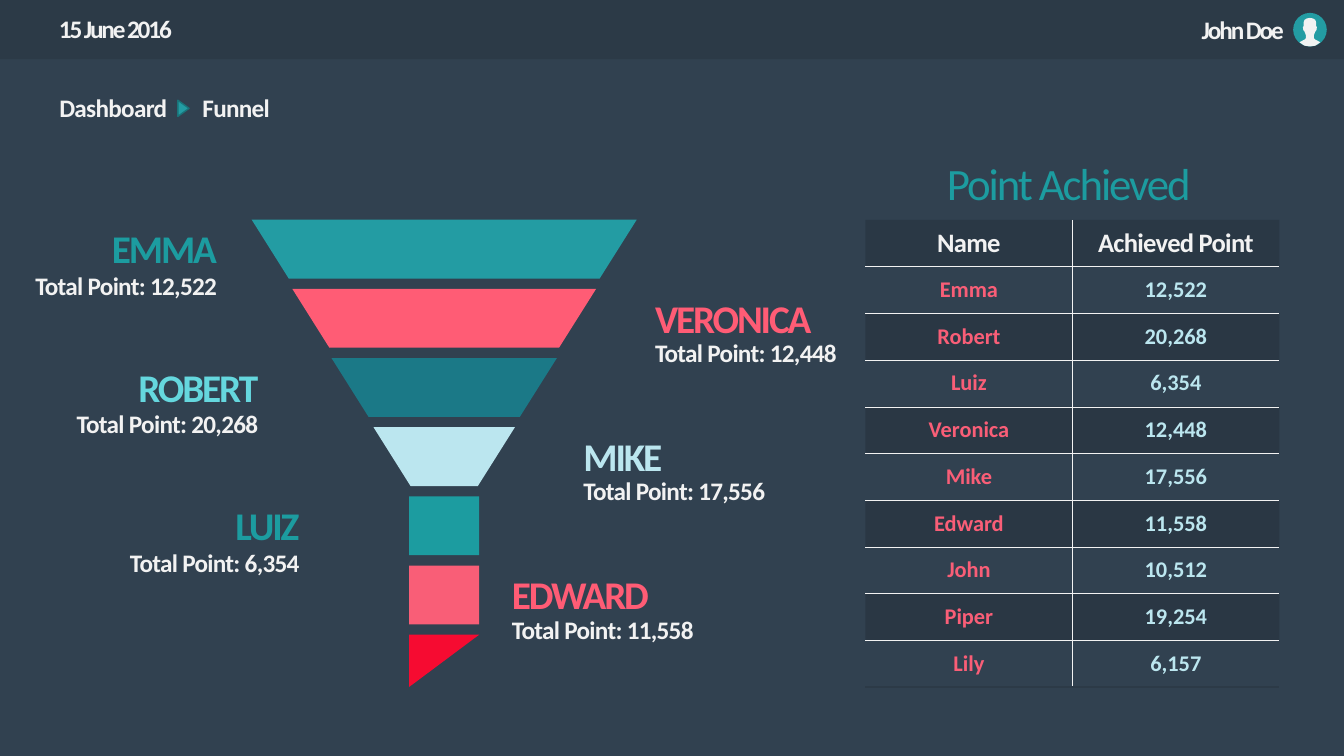
from pptx import Presentation
from pptx.dml.color import RGBColor
from pptx.enum.shapes import MSO_SHAPE
from pptx.enum.text import MSO_ANCHOR, MSO_AUTO_SIZE, PP_ALIGN
from pptx.oxml import parse_xml
from pptx.oxml.ns import nsdecls, qn
from pptx.util import Pt

SLATE = RGBColor(0x31, 0x41, 0x50)
BAR = RGBColor(0x2C, 0x3A, 0x47)
NIGHT = RGBColor(0x21, 0x2B, 0x35)
WHITE = RGBColor(0xF2, 0xF2, 0xF2)
TEAL = RGBColor(0x23, 0x9C, 0xA3)
SEA = RGBColor(0x1C, 0x9C, 0xA0)
DEEP = RGBColor(0x1B, 0x79, 0x87)
EDGE = RGBColor(0x1A, 0x73, 0x79)
AQUA = RGBColor(0x65, 0xD7, 0xDE)
ICE = RGBColor(0xBB, 0xE6, 0xEF)
PINK = RGBColor(0xFF, 0x5C, 0x75)
ROSE = RGBColor(0xF9, 0x5E, 0x77)
RED = RGBColor(0xF6, 0x0B, 0x31)
NO_STYLE = "{2D5ABB26-0587-4C30-8999-92F81FD0307C}"

LEVEL_STEP = 49.4
LEVEL_HEIGHT = 42
POINTS = [
    ("Emma", "12,522"), ("Robert", "20,268"), ("Luiz", "6,354"),
    ("Veronica", "12,448"), ("Mike", "17,556"), ("Edward", "11,558"),
    ("John", "10,512"), ("Piper", "19,254"), ("Lily", "6,157"),
]
LABELS = [("Emma", SEA), ("Veronica", PINK), ("Robert", AQUA),
          ("Mike", ICE), ("Luiz", SEA), ("Edward", PINK)]
LEVELS = [
    (MSO_SHAPE.TRAPEZOID, 275, TEAL), (MSO_SHAPE.TRAPEZOID, 217, PINK),
    (MSO_SHAPE.TRAPEZOID, 161, DEEP), (MSO_SHAPE.TRAPEZOID, 101, ICE),
    (MSO_SHAPE.RECTANGLE, 50, SEA), (MSO_SHAPE.RECTANGLE, 50, ROSE),
    (MSO_SHAPE.RIGHT_TRIANGLE, 50, RED),
]
BUST = [(0, 3.6), (2.2, 4), (3.8, 5), (4.4, 6.6), (4.4, 9.4), (5, 10.2),
        (4.7, 12.4), (3.8, 13.4), (2.9, 15.8), (2.9, 18), (3.4, 18.8),
        (7.4, 21), (4, 23.4), (0, 24)]


def write(tf, text, size=18, color=WHITE, bold=True, spacing=-0.5,
          align=PP_ALIGN.LEFT):
    """Write one formatted line into a text frame."""
    p = tf.paragraphs[0]
    p.alignment = align
    r = p.add_run()
    r.text = text
    r.font.name = "Calibri"
    r.font.size = Pt(size)
    r.font.bold = bold
    r.font.color.rgb = color
    r._r.get_or_add_rPr().set("spc", str(round(spacing * 100)))


def add_text(s, box, text, **fmt):
    """Add a wrapping text box."""
    tf = s.shapes.add_textbox(*map(Pt, box)).text_frame
    tf.word_wrap = True
    write(tf, text, **fmt)


def paint(sp, fill):
    """Give a shape a plain fill without line or shadow."""
    sp.shadow.inherit = False
    sp.fill.solid()
    sp.fill.fore_color.rgb = fill
    sp.line.fill.background()


def add_shape(s, kind, box, fill):
    """Add a painted preset shape."""
    sp = s.shapes.add_shape(kind, *map(Pt, box))
    paint(sp, fill)
    return sp


def add_avatar(s, box):
    """Draw a generic user icon."""
    x, y, w, h = box
    add_shape(s, MSO_SHAPE.OVAL, box, TEAL)
    mid = x + w / 2
    outline = BUST + [(-dx, dy) for dx, dy in reversed(BUST)]
    points = [(Pt(mid + dx), Pt(y + dy)) for dx, dy in outline]
    builder = s.shapes.build_freeform(*points[0])
    builder.add_line_segments(points[1:], close=True)
    paint(builder.convert_to_shape(), WHITE)


def add_header(s, box):
    """Draw the top bar with date, user name and icon."""
    x, y, w, h = box
    add_shape(s, MSO_SHAPE.RECTANGLE, box, BAR)
    add_text(s, (x + 35, y + 6, 149, 29), "15 June 2016", spacing=-1.5)
    add_text(s, (x + w - 182, y + 6.5, 146, 29), "John Doe", spacing=-1.5,
             align=PP_ALIGN.RIGHT)
    add_avatar(s, (x + w - 36.3, y + 9.2, 24, 24))


def add_breadcrumb(s, box):
    """Draw the navigation path."""
    x, y, w, h = box
    add_text(s, (x, y, 98, h), "Dashboard")
    arrow = add_shape(s, MSO_SHAPE.ISOSCELES_TRIANGLE,
                      (x + 90, y + 10.8, 11.5, 8), TEAL)
    arrow.rotation = 90
    arrow.line.color.rgb = EDGE
    arrow.line.width = Pt(1)
    add_text(s, (x + 102.2, y, w - 102.2, h), "Funnel")


def add_funnel(s, box):
    """Stack the funnel levels around the centre of the box."""
    x, y, w, h = box
    for i, (kind, width, fill) in enumerate(LEVELS):
        top = y + i * LEVEL_STEP
        height = min(LEVEL_HEIGHT, y + h - top)
        sp = add_shape(s, kind, (x + (w - width) / 2, top, width, height), fill)
        if kind != MSO_SHAPE.RECTANGLE:
            sp._element.spPr.find(qn("a:xfrm")).set("flipV", "1")
        if kind == MSO_SHAPE.TRAPEZOID:
            sp.adjustments[0] = 0.63


def add_labels(s, box):
    """Place names and totals alternately left and right of the funnel."""
    x, y, w, h = box
    totals = dict(POINTS)
    for i, (name, color) in enumerate(LABELS):
        pair, right = divmod(i, 2)
        top = y + i * LEVEL_STEP
        if right:
            left, width, drop = x + w - 173 - 51.1 * pair, 173, 31
            align = PP_ALIGN.LEFT
        else:
            left, width, drop = x + 29.5 * pair, 152, 32.5
            align = PP_ALIGN.RIGHT
        add_text(s, (left, top, width, 41), name.upper(), size=28,
                 color=color, spacing=-1.5, align=align)
        add_text(s, (left, top + drop, width, 29),
                 f"Total Point: {totals[name]}", align=align)


def add_border(cell, side, color=WHITE, width=0.25):
    """Draw one edge of a table cell."""
    cell._tc.get_or_add_tcPr().append(parse_xml(
        f'<a:{side} {nsdecls("a")} w="{Pt(width)}"><a:solidFill>'
        f'<a:srgbClr val="{color}"/></a:solidFill></a:{side}>'))


def shade(cell, alpha):
    """Fill a cell with translucent dark."""
    cell.fill.solid()
    cell.fill.fore_color.rgb = NIGHT
    clr = cell._tc.tcPr.find(qn("a:solidFill"))[0]
    clr.append(parse_xml(f'<a:alpha {nsdecls("a")} val="{alpha * 1000}"/>'))


def add_points_table(s, box):
    """Build the table of achieved points."""
    rows = [("Name", "Achieved Point")] + POINTS
    frame = s.shapes.add_table(len(rows), 2, *map(Pt, box))
    table = frame.table
    table.first_row = table.horz_banding = False
    table._tbl.tblPr.find(qn("a:tableStyleId")).text = NO_STYLE
    for i, row in enumerate(rows):
        table.rows[i].height = Pt(box[3] / len(rows))
        for j, text in enumerate(row):
            cell = table.cell(i, j)
            cell.vertical_anchor = MSO_ANCHOR.MIDDLE
            add_border(cell, "lnL" if j else "lnR")
            if i:
                add_border(cell, "lnT")
            if i == len(rows) - 1:
                add_border(cell, "lnB", BAR, 1)
            else:
                add_border(cell, "lnB")
            if i % 2:
                cell.fill.background()
            else:
                shade(cell, 41 if i else 39)
            fmt = (dict(size=16, color=ICE if j else ROSE, spacing=0)
                   if i else dict(size=19))
            write(cell.text_frame, text, align=PP_ALIGN.CENTER, **fmt)


def add_title(s, box):
    """Move and format the title placeholder."""
    sp = s.shapes.title
    sp.left, sp.top, sp.width, sp.height = map(Pt, box)
    tf = sp.text_frame
    tf.auto_size = MSO_AUTO_SIZE.NONE
    tf.vertical_anchor = MSO_ANCHOR.TOP
    write(tf, "Point Achieved", size=32, color=SEA, bold=False, spacing=-1.5,
          align=PP_ALIGN.CENTER)


def build_dashboard(prs):
    """Build the funnel dashboard slide."""
    s = prs.slides.add_slide(prs.slide_layouts[5])
    s.background.fill.solid()
    s.background.fill.fore_color.rgb = SLATE
    add_title(s, (613.5, 107.3, 300, 46))
    add_breadcrumb(s, (35.3, 62.6, 254, 29))
    add_funnel(s, (179.8, 157, 275, 333.7))
    add_labels(s, (10, 157, 623.8, 333.7))
    add_points_table(s, (618.2, 157, 295.6, 333.7))
    add_header(s, (0, 0, 960, 42.3))


prs = Presentation()
prs.slide_width, prs.slide_height = Pt(960), Pt(540)
build_dashboard(prs)
prs.save("out.pptx")
